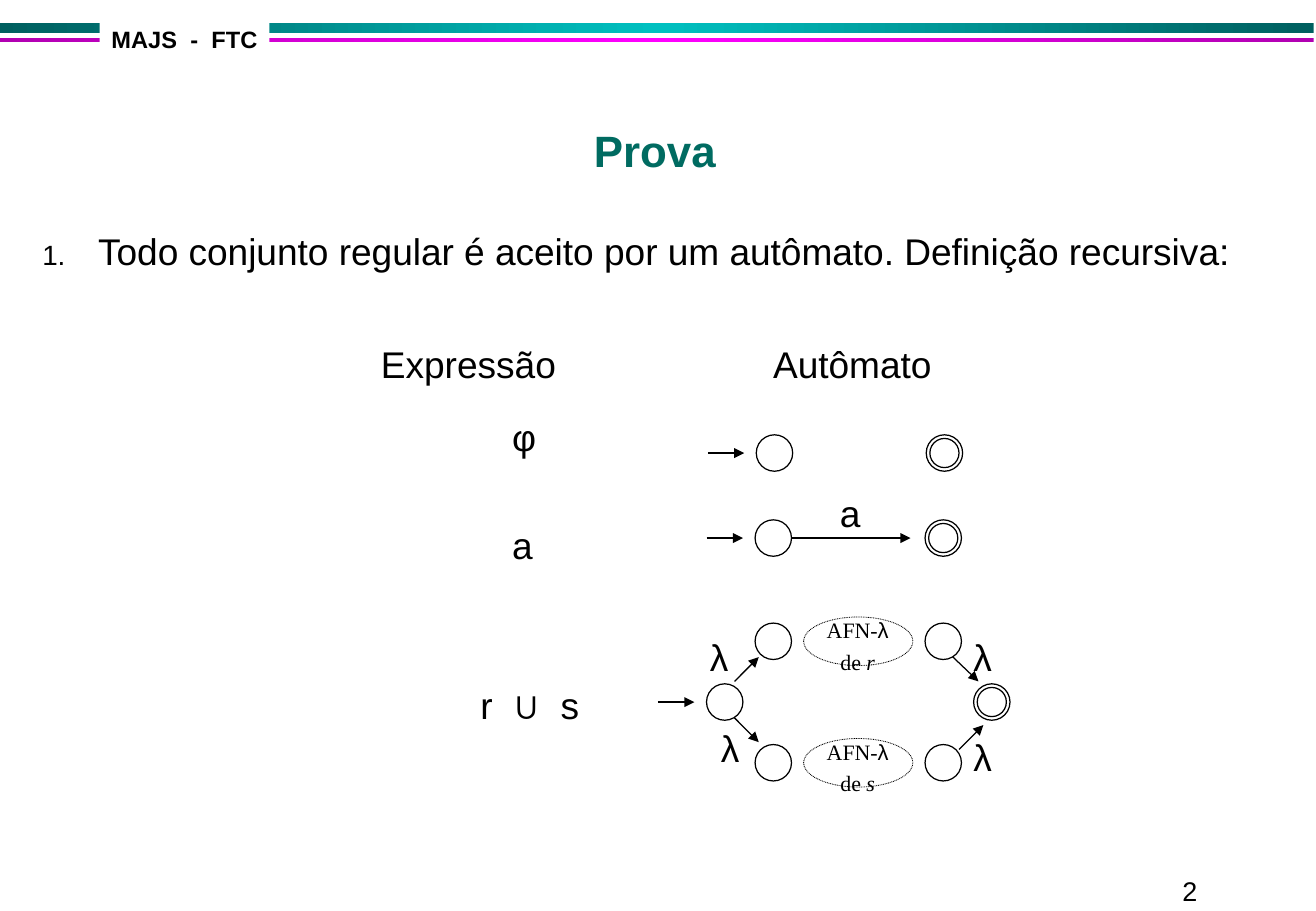
from copy import deepcopy

from pptx import Presentation
from pptx.dml.color import RGBColor
from pptx.enum.dml import MSO_LINE
from pptx.enum.shapes import MSO_CONNECTOR, MSO_SHAPE
from pptx.enum.text import MSO_ANCHOR, MSO_AUTO_SIZE, PP_ALIGN
from pptx.oxml.ns import qn
from pptx.oxml.xmlchemy import OxmlElement
from pptx.util import Pt

PX = 9144  # 100 px to the inch
RECTANGLE, OVAL = MSO_SHAPE.RECTANGLE, MSO_SHAPE.OVAL
STRAIGHT = MSO_CONNECTOR.STRAIGHT
CENTER = PP_ALIGN.CENTER
BLACK = "000000"
color = RGBColor.from_string


def style(font, size, name="Arial", shade=BLACK, bold=False):
    font.size, font.name, font.bold = Pt(size), name, bold
    font.color.rgb = color(shade)


def add_text(left, top, width, height, text, size=22, wrap=False):
    box = page.shapes.add_textbox(left * PX, top * PX, width * PX, height * PX)
    box.text_frame.text = text
    box.text_frame.word_wrap = wrap
    for para in box.text_frame.paragraphs:
        for span in para.runs:
            style(span.font, size)
    return box


deck = Presentation()
deck.slide_width, deck.slide_height = 1084 * PX, 750 * PX
page = deck.slides.add_slide(deck.slide_layouts[5])

# Header bars, course name and page number
for top, height, edge, middle in [(19, 8, "005F5F", "00C0C0"), (31, 4, "B100B1", "FF00FF")]:
    bar = page.shapes.add_shape(RECTANGLE, 0, top * PX, 1082 * PX, height * PX)
    bar.shadow.inherit = False
    bar.line.fill.background()
    bar.fill.gradient()
    bar.fill.gradient_angle = 0
    stop_list = bar.fill._xPr.find(".//" + qn("a:gsLst"))
    stop_list.append(deepcopy(stop_list[0]))
    for stop, shade, position in zip(bar.fill.gradient_stops, (edge, middle, edge), (0, 0.5, 1)):
        stop.color.rgb = color(shade)
        stop.position = position

course = add_text(82, 16, 140, 33, "", 14)
course.fill.solid()
course.fill.fore_color.rgb = color("FFFFFF")
union = add_text(386, 557, 110, 47, "")
for box, size, bold, parts in [
    (course, 14, True, [("MAJ", 0), ("S - ", 195), ("FTC", 0)]),
    (union, 22, False, [("r ∪ ", 305), ("s", 0)]),
]:
    for text, spacing in parts:
        span = box.text_frame.paragraphs[0].add_run()
        span.text = text
        style(span.font, size, bold=bold)
        span.font._element.set("spc", str(spacing))
add_text(964, 715, 121, 36, "2", 16)

# Title
title = page.shapes.title
title.left, title.top, title.width, title.height = 79 * PX, 81 * PX, 921 * PX, 69 * PX
title.text_frame.text = "Prova"
title.text_frame.auto_size = MSO_AUTO_SIZE.NONE
title.text_frame.vertical_anchor = MSO_ANCHOR.BOTTOM
title_para = title.text_frame.paragraphs[0]
title_para.alignment = CENTER
style(title_para.runs[0].font, 26, shade="006B61", bold=True)

# Numbered statement
statement = add_text(25, 183, 1034, 47,
                     "Todo conjunto regular é aceito por um autômato. Definição recursiva:", wrap=True)
properties = statement.text_frame.paragraphs[0]._p.get_or_add_pPr()
properties.set("marL", str(46 * PX))
properties.set("indent", str(-46 * PX))
for tag, key, value in [("a:buSzPct", "val", "75000"), ("a:buAutoNum", "type", "arabicPeriod")]:
    bullet = OxmlElement(tag)
    bullet.set(key, value)
    properties.append(bullet)

# Column heads, expressions and transition labels
for left, top, width, text in [
    (304, 276, 170, "Expressão"), (627, 276, 160, "Autômato"),
    (412, 336, 40, "φ"), (412, 425, 40, "a"), (682, 399, 37, "a"),
    (575, 517, 36, "λ"), (584, 592, 36, "λ"), (792, 600, 36, "λ"), (792, 517, 36, "λ"),
]:
    add_text(left, top, width, 47, text)

# States: (left, top, accepting)
ovals = []
for left, top, accepting in [
    (623, 358, False), (763, 358, True),
    (622, 428, False), (762, 428, True),
    (582, 563, False), (802, 563, True),
    (622, 513, False), (762, 513, False),
    (622, 613, False), (762, 613, False),
]:
    ovals.append((left, top, 30, 30))
    if accepting:
        ovals.append((left + 3, top + 3, 24, 24))

# Nested automata
nested = [(508, "r"), (608, "s")]
ovals += [(662, top, 90, 40) for top, name in nested]
for left, top, width, height in ovals:
    oval = page.shapes.add_shape(OVAL, left * PX, top * PX, width * PX, height * PX)
    oval.shadow.inherit = False
    oval.fill.background()
    oval.line.color.rgb = color(BLACK)
    oval.line.width = Pt(0.75)
    if width == 90:
        oval.line.width = Pt(0.5)
        oval.line.dash_style = MSO_LINE.ROUND_DOT

for top, name in nested:
    frame = add_text(661, top - 1, 91, 43, "AFN-\nde ", 13, wrap=True).text_frame
    frame.margin_left = frame.margin_right = frame.margin_top = frame.margin_bottom = PX
    frame.paragraphs[1].space_before = Pt(3)
    for para, ending in zip(frame.paragraphs, ("λ", name)):
        para.alignment = CENTER
        style(para.runs[0].font, 13, "Times New Roman")
        span = para.add_run()
        span.text = ending
        style(span.font, 13, "Arial" if ending == "λ" else "Times New Roman")
        span.font.italic = ending != "λ"

# Transitions
for start_x, start_y, end_x, end_y in [
    (583, 373, 613, 373), (582, 443, 612, 443), (652, 443, 750, 443), (542, 578, 572, 578),
    (605, 591, 625, 611), (785, 541, 806, 561), (605, 561, 625, 541), (790, 617, 810, 597),
]:
    arrow = page.shapes.add_connector(STRAIGHT, start_x * PX, start_y * PX, end_x * PX, end_y * PX)
    arrow.line.color.rgb = color(BLACK)
    arrow.line.width = Pt(0.75)
    head = OxmlElement("a:tailEnd")
    head.set("type", "triangle")
    arrow.line._get_or_add_ln().append(head)
    arrow._element.spPr.append(OxmlElement("a:effectLst"))

deck.save("out.pptx")
